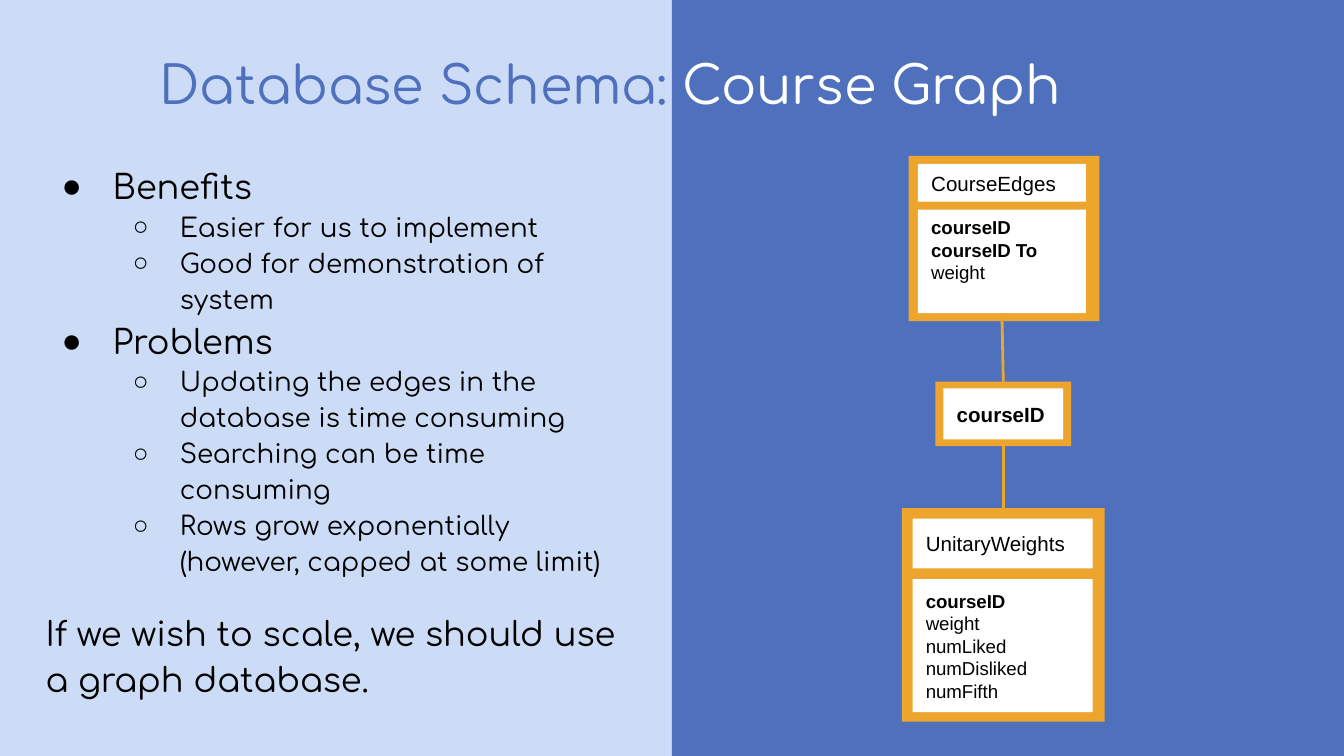
from lxml import etree
from pptx import Presentation
from pptx.dml.color import RGBColor
from pptx.enum import shapes, text
from pptx.oxml import ns
from pptx.util import Inches, Pt

THEME = {
    "pale": "CCDCF6", "blue": "4F71BD", "orange": "EEA52E",
    "white": "FFFFFF", "black": "000000",
    "heading_font": "Comfortaa", "table_font": "Arial",
    "title": 28, "large": 18, "small": 14, "name": 11, "field": 10,
}
WIDTH = Inches(10)
HEIGHT = WIDTH * 9 // 16

TITLE = [("Database Schema: ", "blue"), ("Course Graph", "white")]
POINTS = [
    ("Benefits", [
        "Easier for us to implement",
        "Good for demonstration of system",
    ]),
    ("Problems", [
        "Updating the edges in the database is time consuming",
        "Searching can be time consuming",
        "Rows grow exponentially (however, capped at some limit)",
    ]),
]
CONCLUSION = "If we wish to scale, we should use a graph database."

BULLETS = [("●", 0.5, -0.38, "large"), ("○", 1, -0.35, "small")]

MIDDLE, TOP_ALIGNED = text.MSO_ANCHOR.MIDDLE, text.MSO_ANCHOR.TOP
ENTITIES = {
    "edges": {
        "frame": (6.76, 1.16, 1.42, 1.23),
        "cells": [
            ((6.83, 1.22, 1.25, 0.28), "name", MIDDLE, 0.1,
             [("CourseEdges", False)]),
            ((6.83, 1.56, 1.25, 0.77), "field", TOP_ALIGNED, 0.05,
             [("courseID", True), ("courseID To", True), ("weight", False)]),
        ],
    },
    "weights": {
        "frame": (6.71, 3.78, 1.51, 1.59),
        "cells": [
            ((6.79, 3.86, 1.34, 0.37), "name", MIDDLE, 0.1,
             [("UnitaryWeights", False)]),
            ((6.79, 4.31, 1.34, 0.99), "field", MIDDLE, 0.1,
             [("courseID", True), ("weight", False), ("numLiked", False),
              ("numDisliked", False), ("numFifth", False)]),
        ],
    },
    "key": {
        "frame": (6.96, 2.84, 1.01, 0.48),
        "cells": [
            ((7.02, 2.89, 0.89, 0.38), "name", MIDDLE, 0.1,
             [("courseID", True)]),
        ],
    },
}
TOP_SIDE, BOTTOM_SIDE = 0, 2


def color(name):
    return RGBColor.from_string(THEME[name])


def style(paragraph, font, size, bold=False):
    paragraph.font.name = THEME[font]
    paragraph.font.size = Pt(THEME[size])
    paragraph.font.bold = bold
    paragraph.font.color.rgb = color("black")


def set_frame(frame, anchor, top=0.1):
    frame.word_wrap = True
    frame.vertical_anchor = anchor
    frame.margin_left = frame.margin_right = Inches(0.1)
    frame.margin_top, frame.margin_bottom = Inches(top), Inches(0.1)


def add_box(slide, place, fill):
    shape = slide.shapes.add_shape(shapes.MSO_SHAPE.RECTANGLE, *place)
    shape.shadow.inherit = False
    shape.fill.solid()
    shape.fill.fore_color.rgb = color(fill)
    shape.line.fill.background()
    return shape


def add_text(slide, place):
    frame = slide.shapes.add_textbox(*map(Inches, place)).text_frame
    set_frame(frame, TOP_ALIGNED)
    return frame


def next_paragraph(frame):
    first = frame.paragraphs[0]
    return frame.add_paragraph() if first.runs else first


def add_point(frame, words, level):
    mark, margin, indent, size = BULLETS[level]
    paragraph = next_paragraph(frame)
    paragraph.text = words
    paragraph.level = level
    paragraph.line_spacing = 1.15
    properties = paragraph._p.get_or_add_pPr()
    properties.set("marL", str(Inches(margin)))
    properties.set("indent", str(Inches(indent)))
    bullet_color = etree.SubElement(properties, ns.qn("a:buClr"))
    etree.SubElement(bullet_color, ns.qn("a:srgbClr"), val=THEME["black"])
    etree.SubElement(
        properties, ns.qn("a:buFont"), typeface=THEME["table_font"])
    etree.SubElement(properties, ns.qn("a:buChar"), char=mark)
    style(paragraph, "heading_font", size)


def add_cell(slide, place, size, anchor, top, lines):
    shape = add_box(slide, map(Inches, place), "white")
    set_frame(shape.text_frame, anchor, top)
    for words, bold in lines:
        paragraph = next_paragraph(shape.text_frame)
        paragraph.text = words
        paragraph.alignment = text.PP_ALIGN.LEFT
        style(paragraph, "table_font", size, bold)
    return shape


def add_link(slide, upper, lower):
    connector = slide.shapes.add_connector(
        shapes.MSO_CONNECTOR.STRAIGHT, 0, 0, 0, 0)
    connector.begin_connect(upper, BOTTOM_SIDE)
    connector.end_connect(lower, TOP_SIDE)
    connector.line.color.rgb = color("orange")
    connector.line.width = Pt(1.5)
    etree.SubElement(connector._element.spPr, ns.qn("a:effectLst"))


def main():
    presentation = Presentation()
    presentation.slide_width = WIDTH
    presentation.slide_height = HEIGHT
    slide = presentation.slides.add_slide(presentation.slide_layouts[6])
    slide.background.fill.solid()
    slide.background.fill.fore_color.rgb = color("pale")
    add_box(slide, (WIDTH // 2, 0, WIDTH // 2, HEIGHT), "blue")

    title = add_text(slide, (1.09, 0.29, 9.32, 0.63)).paragraphs[0]
    title.font.name = THEME["heading_font"]
    title.font.size = Pt(THEME["title"])
    for words, fill in TITLE:
        run = title.add_run()
        run.text = words
        run.font.color.rgb = color(fill)

    body = add_text(slide, (0.24, 1.09, 4.48, 4.29))
    for heading, details in POINTS:
        add_point(body, heading, 0)
        for detail in details:
            add_point(body, detail, 1)
    conclusion = next_paragraph(body)
    conclusion.text = CONCLUSION
    conclusion.line_spacing = 1.15
    conclusion.space_before = conclusion.space_after = Pt(16)
    style(conclusion, "heading_font", "large")

    frames, last_cells = {}, {}
    for name, entity in ENTITIES.items():
        frames[name] = add_box(slide, map(Inches, entity["frame"]), "orange")
        for cell in entity["cells"]:
            last_cells[name] = add_cell(slide, *cell)
    add_link(slide, last_cells["edges"], frames["key"])
    add_link(slide, frames["key"], frames["weights"])

    presentation.save("out.pptx")


if __name__ == "__main__":
    main()
